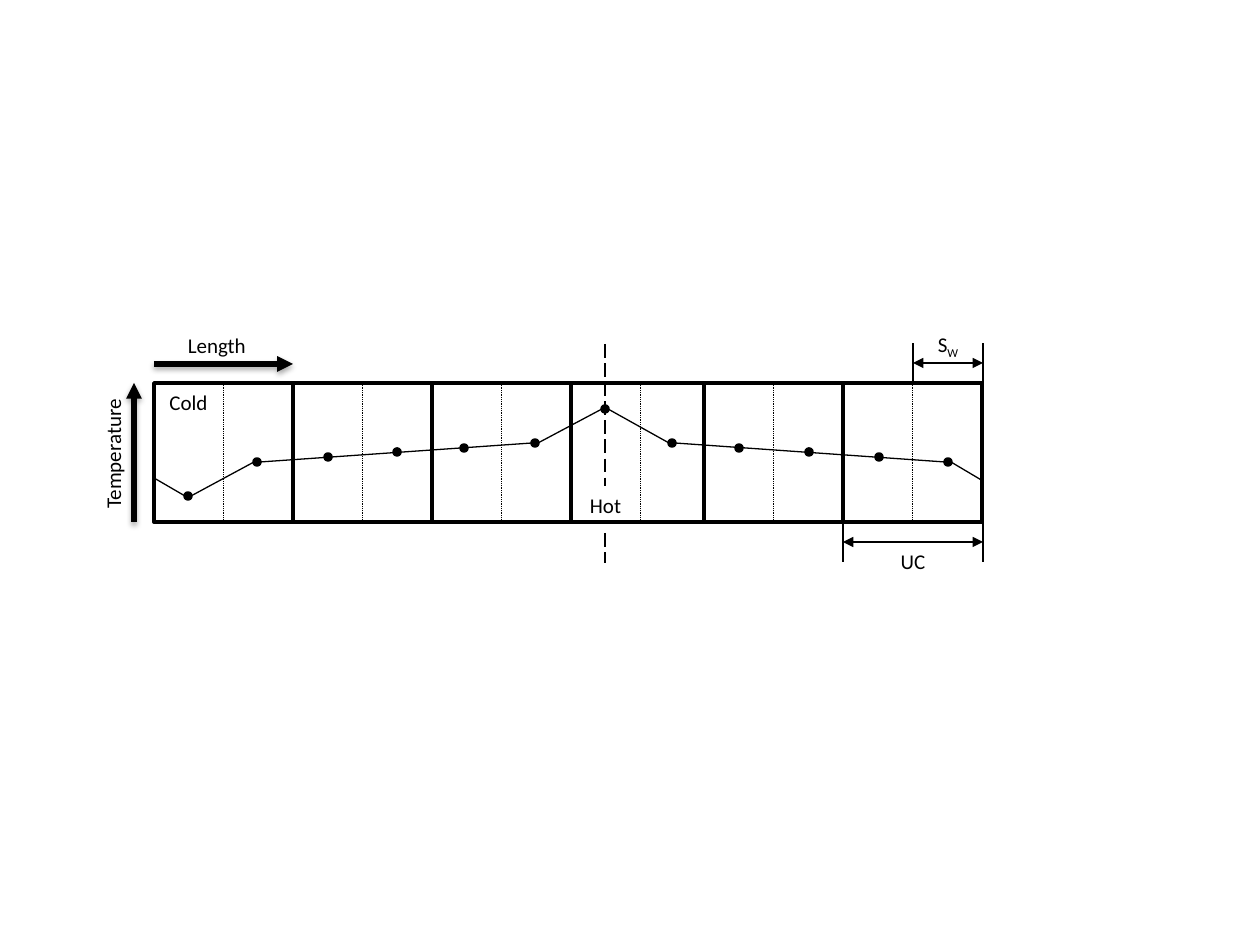
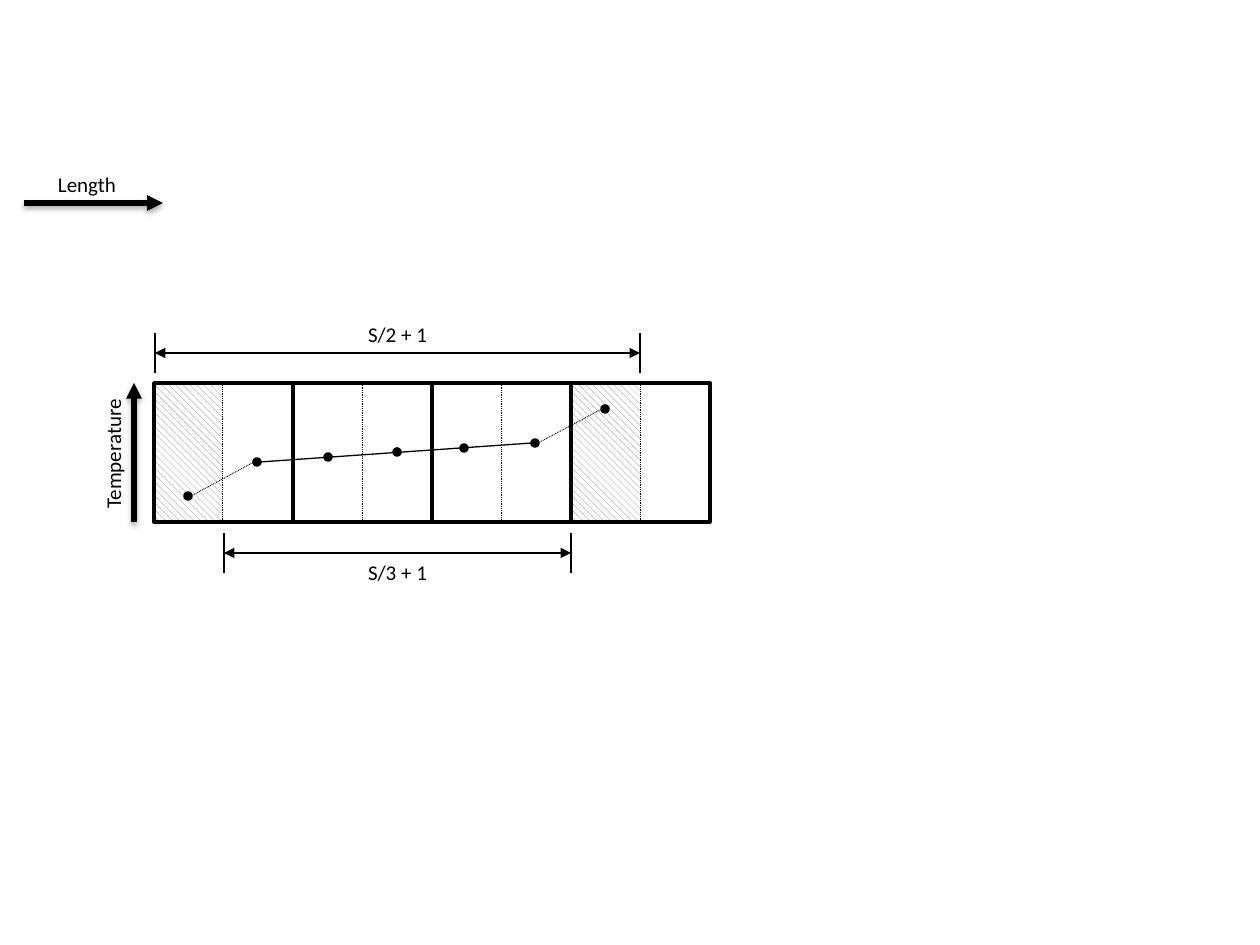
"""Draw two temperature profiles along a row of unit cells."""
from dataclasses import dataclass
from typing import Optional, Sequence, Union

from lxml import etree
from pptx import Presentation
from pptx.dml.color import RGBColor
from pptx.enum.dml import MSO_LINE, MSO_PATTERN
from pptx.enum.shapes import MSO_CONNECTOR, MSO_SHAPE
from pptx.enum.text import MSO_AUTO_SIZE, PP_ALIGN
from pptx.oxml.ns import qn
from pptx.shapes.autoshape import Shape
from pptx.shapes.shapetree import GroupShapes, SlideShapes
from pptx.slide import Slide
from pptx.util import Emu, Pt

Shapes = Union[SlideShapes, GroupShapes]

BLACK = RGBColor(0x00, 0x00, 0x00)
WHITE = RGBColor(0xFF, 0xFF, 0xFF)
GRAY = RGBColor(0x80, 0x80, 0x80)

FONT = "Calibri"
FONT_SIZE = 12
SCALE = 914400 / 126
CELL = 139
HALF = CELL // 2
CELL_TOP = 383
CELL_BOTTOM = CELL_TOP + CELL
CELL_LEFTS = (154, 293, 432, 571, 704, 843)
RIGHT_EDGE = 983
LABEL_HEIGHT = 38
TICK = 20
DOT_RADIUS = 3
DOTS = (
    (188, 496), (257, 462), (328, 457), (397, 452), (464, 448), (535, 443),
    (605, 409), (672, 443), (739, 448), (809, 452), (879, 457), (948, 462),
)


@dataclass(frozen=True)
class Stroke:
    """Line weight in points, dash and arrowheads."""

    width: float
    dash: Optional[MSO_LINE] = None
    head: bool = False
    tail: bool = False
    shadow: bool = False


@dataclass(frozen=True)
class Dimension:
    """Span measured between two ticks, with its label."""

    left: int
    right: int
    y: int
    text: str
    subscript: str = ""
    below: bool = False


@dataclass(frozen=True)
class Segment:
    """Profile line between two dots, given by index."""

    start: int
    end: int
    dotted: bool = False


OUTLINE = Stroke(2)
THIN = Stroke(0.75)
DOTTED = Stroke(0.5, MSO_LINE.ROUND_DOT)
DASHED = Stroke(1, MSO_LINE.LONG_DASH)
SPAN = Stroke(0.75, head=True, tail=True)
AXIS = Stroke(3, tail=True, shadow=True)


def px(value: float) -> Emu:
    """Turn pixels into EMU."""
    return Emu(round(value * SCALE))


def add_line(shapes: Shapes, x1: int, y1: int, x2: int, y2: int, stroke: Stroke) -> None:
    """Draw a straight black line."""
    line = shapes.add_connector(MSO_CONNECTOR.STRAIGHT, px(x1), px(y1), px(x2), px(y2))
    line.line.color.rgb = BLACK
    line.line.width = Pt(stroke.width)
    if stroke.dash is not None:
        line.line.dash_style = stroke.dash
    ln = line.line._get_or_add_ln()
    for tag, wanted in (("a:headEnd", stroke.head), ("a:tailEnd", stroke.tail)):
        if wanted:
            etree.SubElement(ln, qn(tag), type="triangle")
    effects = etree.SubElement(line._element.spPr, qn("a:effectLst"))
    if stroke.shadow:
        shadow = etree.SubElement(
            effects, qn("a:outerShdw"), blurRad="40000", dist="23000", dir="5400000", rotWithShape="0"
        )
        color = etree.SubElement(shadow, qn("a:srgbClr"), val=str(BLACK))
        etree.SubElement(color, qn("a:alpha"), val="35000")


def add_label(shapes: Shapes, left: int, top: int, width: int, text: str,
              subscript: str = "", rotation: int = 0) -> None:
    """Add a centred label, with an optional subscript."""
    box = shapes.add_textbox(px(left), px(top), px(width), px(LABEL_HEIGHT))
    box.rotation = rotation
    box.text_frame.word_wrap = True
    box.text_frame.auto_size = MSO_AUTO_SIZE.SHAPE_TO_FIT_TEXT
    paragraph = box.text_frame.paragraphs[0]
    paragraph.alignment = PP_ALIGN.CENTER
    for part in filter(None, (text, subscript)):
        run = paragraph.add_run()
        run.text = part
        run.font.name = FONT
        run.font.size = Pt(FONT_SIZE)
        run.font.color.rgb = BLACK
    if subscript:
        run.font._element.set("baseline", "-25000")


def add_figure(shapes: Shapes, kind: MSO_SHAPE, left: int, top: int,
               width: int, height: int, stroke: Stroke) -> Shape:
    """Add a black-outlined shape without a fill."""
    shape = shapes.add_shape(kind, px(left), px(top), px(width), px(height))
    shape.shadow.inherit = False
    shape.fill.background()
    shape.line.color.rgb = BLACK
    shape.line.width = Pt(stroke.width)
    if stroke.dash is not None:
        shape.line.dash_style = stroke.dash
    return shape


def add_cells(shapes: Shapes, lefts: Sequence[int], hatched: Sequence[int] = ()) -> None:
    """Draw the unit cells, their dotted middles and hatched first halves."""
    for left in hatched:
        fill = add_figure(shapes, MSO_SHAPE.RECTANGLE, left, CELL_TOP + 1, HALF, CELL - 1, DOTTED).fill
        fill.patterned()
        fill.pattern = MSO_PATTERN.WIDE_DOWNWARD_DIAGONAL
        fill.fore_color.rgb = GRAY
        fill.back_color.rgb = WHITE
    for left in lefts:
        cell = add_figure(shapes, MSO_SHAPE.RECTANGLE, left, CELL_TOP, CELL, CELL, OUTLINE)
        if left not in hatched:
            cell.fill.solid()
            cell.fill.fore_color.rgb = WHITE
    for left in lefts:
        if left not in hatched:
            add_line(shapes, left + HALF, CELL_TOP, left + HALF, CELL_BOTTOM, DOTTED)


def add_profile(shapes: Shapes, count: int, segments: Sequence[Segment]) -> None:
    """Draw the first dots of the profile and the lines joining them."""
    size = 2 * DOT_RADIUS
    for x, y in DOTS[:count]:
        dot = add_figure(shapes, MSO_SHAPE.OVAL, x - DOT_RADIUS, y - DOT_RADIUS, size, size, OUTLINE)
        dot.fill.solid()
        dot.fill.fore_color.rgb = BLACK
    for segment in segments:
        (x1, y1), (x2, y2) = DOTS[segment.start], DOTS[segment.end]
        add_line(shapes, x1 + DOT_RADIUS, y1, x2 - DOT_RADIUS, y2, DOTTED if segment.dotted else THIN)


def add_dimension(slide: Slide, item: Dimension) -> None:
    """Draw a measured span as one group."""
    shapes = slide.shapes.add_group_shape().shapes
    add_line(shapes, item.left, item.y, item.right, item.y, SPAN)
    for x in (item.left, item.right):
        add_line(shapes, x, item.y + TICK, x, item.y - TICK, THIN)
    top = item.y if item.below else item.y - LABEL_HEIGHT
    add_label(shapes, item.left, top, item.right - item.left, item.text, item.subscript)


def add_axes(slide: Slide, length_left: int, length_y: int) -> None:
    """Draw the temperature and length arrows as two groups."""
    temperature = slide.shapes.add_group_shape().shapes
    add_line(temperature, 134, CELL_BOTTOM, 134, CELL_TOP, AXIS)
    add_label(temperature, 43, 435, 140, "Temperature", rotation=270)
    length = slide.shapes.add_group_shape().shapes
    add_line(length, length_left, length_y, length_left + CELL, length_y, AXIS)
    add_label(length, length_left, length_y - LABEL_HEIGHT, 126, "Length")


def draw_full_profile(slide: Slide) -> None:
    """Draw the whole row of cells, from cold to hot and back."""
    shapes = slide.shapes
    add_cells(shapes, CELL_LEFTS)
    add_axes(slide, CELL_LEFTS[0], 364)
    add_dimension(slide, Dimension(913, RIGHT_EDGE, 363, "S", subscript="W"))
    add_dimension(slide, Dimension(CELL_LEFTS[-1], RIGHT_EDGE, 542, "UC", below=True))
    add_label(shapes, CELL_LEFTS[0], CELL_TOP, HALF, "Cold")
    add_profile(shapes, len(DOTS), (
        Segment(0, 1), Segment(1, 5), Segment(5, 6), Segment(6, 7), Segment(7, 11),
    ))
    add_line(shapes, 185, 496, CELL_LEFTS[0], 478, THIN)
    add_line(shapes, RIGHT_EDGE, 481, 951, 462, THIN)
    for top, bottom in ((344, 486), (533, 563)):
        add_line(shapes, 605, top, 605, bottom, DASHED)
    add_label(shapes, CELL_LEFTS[3], 486, HALF, "Hot")


def draw_half_profile(slide: Slide) -> None:
    """Draw the cold-to-hot half with its end segments hatched."""
    lefts = CELL_LEFTS[:4]
    add_cells(slide.shapes, lefts, hatched=(lefts[0], lefts[-1]))
    add_axes(slide, 24, 203)
    add_dimension(slide, Dimension(lefts[0] + HALF + 1, lefts[-1], 553, "S/3 + 1", below=True))
    add_dimension(slide, Dimension(lefts[0] + 1, lefts[-1] + HALF, 353, "S/2 + 1"))
    add_profile(slide.shapes, 7, (Segment(0, 1, True), Segment(1, 5), Segment(5, 6, True)))


def main() -> None:
    """Build and save both slides."""
    deck = Presentation()
    deck.slide_width, deck.slide_height = px(1260), px(945)
    for draw in (draw_full_profile, draw_half_profile):
        draw(deck.slides.add_slide(deck.slide_layouts[6]))
    deck.save("out.pptx")


main()
